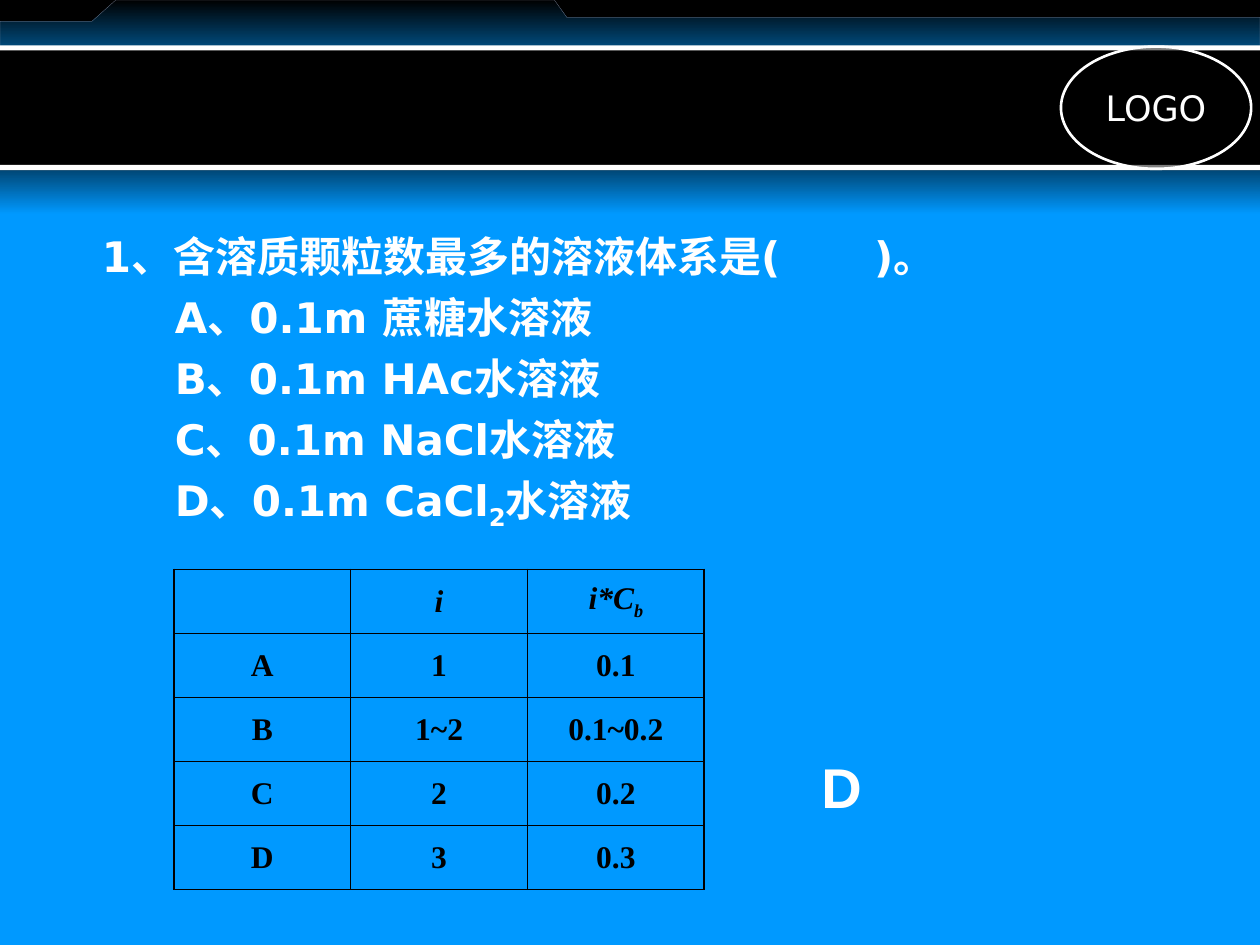
from dataclasses import dataclass

from lxml import etree
from pptx import Presentation
from pptx.dml.color import RGBColor
from pptx.enum.shapes import MSO_SHAPE
from pptx.enum.text import MSO_ANCHOR, MSO_AUTO_SIZE, PP_ALIGN
from pptx.oxml.ns import qn
from pptx.util import Inches, Pt

RECTANGLE, OVAL = MSO_SHAPE.RECTANGLE, MSO_SHAPE.OVAL
CENTER, MIDDLE = PP_ALIGN.CENTER, MSO_ANCHOR.MIDDLE
GROW = MSO_AUTO_SIZE.SHAPE_TO_FIT_TEXT


@dataclass(frozen=True)
class Theme:
    black: str = "000000"
    white: str = "FFFFFF"
    blue: str = "0099FF"
    deep_blue: str = "004776"
    tab_edge: str = "878FA5"
    body_font: str = "DejaVu Sans"
    table_font: str = "Times New Roman"
    answer_font: str = "Arial"
    logo_size: float = 20
    body_size: float = 24
    table_size: float = 18
    answer_size: float = 32
    outer_border: float = 1.08
    inner_border: float = 0.45


THEME = Theme()
SUBSCRIPT = -25000

QUESTION = "1、含溶质颗粒数最多的溶液体系是(\t)。"
OPTIONS = [
    ["A、0.1m 蔗糖水溶液"],
    ["B、0.1m HAc水溶液"],
    ["C、0.1m NaCl水溶液"],
    ["D、0.1m CaCl", "2", "水溶液"],
]
PARTICLE_ROWS = [
    [[], ["i"], ["i*C", "b"]],
    [["A"], ["1"], ["0.1"]],
    [["B"], ["1~2"], ["0.1~0.2"]],
    [["C"], ["2"], ["0.2"]],
    [["D"], ["3"], ["0.3"]],
]


def rgb(color):
    return RGBColor.from_string(color)


def set_font(paragraph, name, size, color, bold=True, italic=False):
    font = paragraph.font
    font.name, font.size = name, Pt(size)
    font.bold, font.italic = bold, italic
    font.color.rgb = rgb(color)


def add_runs(paragraph, pieces):
    """Write the pieces in turn; every second one is a subscript."""
    for index, piece in enumerate(pieces):
        run = paragraph.add_run()
        run.text = piece
        if index % 2:
            run.font._element.set("baseline", str(SUBSCRIPT))


def fill_downwards(shape, top_color, bottom_color):
    shape.fill.gradient()
    shape.fill.gradient_angle = 270
    for stop, color in zip(shape.fill.gradient_stops, (top_color, bottom_color)):
        stop.color.rgb = rgb(color)


def add_band(slide, top, height, color, bottom_color=None):
    """Add a full-width band, shaded downwards if it has a bottom colour."""
    band = slide.shapes.add_shape(
        RECTANGLE, 0, Inches(top), Inches(10), Inches(height))
    band.shadow.inherit = False
    band.line.fill.background()
    if bottom_color:
        fill_downwards(band, color, bottom_color)
    else:
        band.fill.solid()
        band.fill.fore_color.rgb = rgb(color)


def add_header_tab(slide):
    outline = [(10, 0.76), (10, 0.14), (4.5, 0.14), (4.4, 0),
               (0.92, 0), (0.73, 0.17), (0, 0.17)]
    builder = slide.shapes.build_freeform(0, Inches(0.76))
    builder.add_line_segments([(Inches(x), Inches(y)) for x, y in outline])
    tab = builder.convert_to_shape()
    tab.shadow.inherit = False
    fill_downwards(tab, THEME.black, THEME.blue)
    tab.line.color.rgb = rgb(THEME.tab_edge)
    tab.line.width = Pt(0.11)


def add_logo_oval(slide):
    oval = slide.shapes.add_shape(
        OVAL, Inches(8.42), Inches(0.37), Inches(1.51), Inches(0.97))
    oval.shadow.inherit = False
    oval.fill.solid()
    oval.fill.fore_color.rgb = rgb(THEME.black)
    fill_color = oval._element.spPr.find(qn("a:solidFill"))[0]
    etree.SubElement(fill_color, qn("a:alpha"), val="50000")
    oval.line.color.rgb = rgb(THEME.white)
    oval.line.width = Pt(1.5)
    frame = oval.text_frame
    frame.word_wrap, frame.vertical_anchor = False, MIDDLE
    label = frame.paragraphs[0]
    label.text, label.alignment = "LOGO", CENTER
    set_font(label, THEME.body_font, THEME.logo_size, THEME.white, bold=False)


def add_question(slide):
    frame = slide.shapes.add_textbox(
        Inches(0.71), Inches(1.78), Inches(7.18), Inches(2.6)).text_frame
    frame.word_wrap = True
    question = frame.paragraphs[0]
    question.text = QUESTION
    tabs = etree.SubElement(question._p.get_or_add_pPr(), qn("a:tabLst"))
    etree.SubElement(tabs, qn("a:tab"), pos=str(Inches(6.13)), algn="l")
    for pieces in OPTIONS:
        option = frame.add_paragraph()
        add_runs(option, pieces)
        option.space_before = Pt(6)
        option._p.get_or_add_pPr().set("marL", str(Inches(0.58)))
    for paragraph in frame.paragraphs:
        set_font(paragraph, THEME.body_font, THEME.body_size, THEME.white)


def set_borders(cell, outer_sides):
    properties = cell._tc.get_or_add_tcPr()
    for position, side in enumerate("LRTB"):
        width = THEME.outer_border if side in outer_sides else THEME.inner_border
        line = etree.Element(qn(f"a:ln{side}"), w=str(Pt(width)))
        fill = etree.SubElement(line, qn("a:solidFill"))
        etree.SubElement(fill, qn("a:srgbClr"), val=THEME.black)
        properties.insert(position, line)


def add_particle_table(slide):
    row_count, column_count = len(PARTICLE_ROWS), len(PARTICLE_ROWS[0])
    table = slide.shapes.add_table(
        row_count, column_count, Inches(1.38), Inches(4.52),
        Inches(4.21), Inches(2.54)).table
    table.first_row = table.horz_banding = False
    for r, row in enumerate(PARTICLE_ROWS):
        for c, pieces in enumerate(row):
            cell = table.cell(r, c)
            cell.fill.background()
            cell.vertical_anchor = MIDDLE
            entry = cell.text_frame.paragraphs[0]
            add_runs(entry, pieces)
            entry.alignment = CENTER
            set_font(entry, THEME.table_font, THEME.table_size, THEME.black,
                     italic=r == 0)
            edges = {"L": c == 0, "R": c == column_count - 1,
                     "T": r == 0, "B": r == row_count - 1}
            set_borders(cell, [side for side, outer in edges.items() if outer])


def add_answer(slide):
    frame = slide.shapes.add_textbox(
        Inches(6.42), Inches(5.92), Inches(0.52), Inches(0.64)).text_frame
    frame.word_wrap, frame.auto_size = False, GROW
    answer = frame.paragraphs[0]
    answer.text = "D"
    set_font(answer, THEME.answer_font, THEME.answer_size, THEME.white)


def main():
    presentation = Presentation()
    presentation.slide_width, presentation.slide_height = Inches(10), Inches(7.5)
    slide = presentation.slides.add_slide(presentation.slide_layouts[6])
    slide.background.fill.solid()
    slide.background.fill.fore_color.rgb = rgb(THEME.black)
    add_band(slide, 1.31, 6.19, THEME.blue)
    add_band(slide, 1.35, 0.35, THEME.deep_blue, THEME.blue)
    add_header_tab(slide)
    add_band(slide, 0.38, 0.97, THEME.black)
    for rule_top in (1.31, 0.36):
        add_band(slide, rule_top, 0.04, THEME.white)
    add_logo_oval(slide)
    add_question(slide)
    add_particle_table(slide)
    add_answer(slide)
    presentation.save("out.pptx")


if __name__ == "__main__":
    main()
